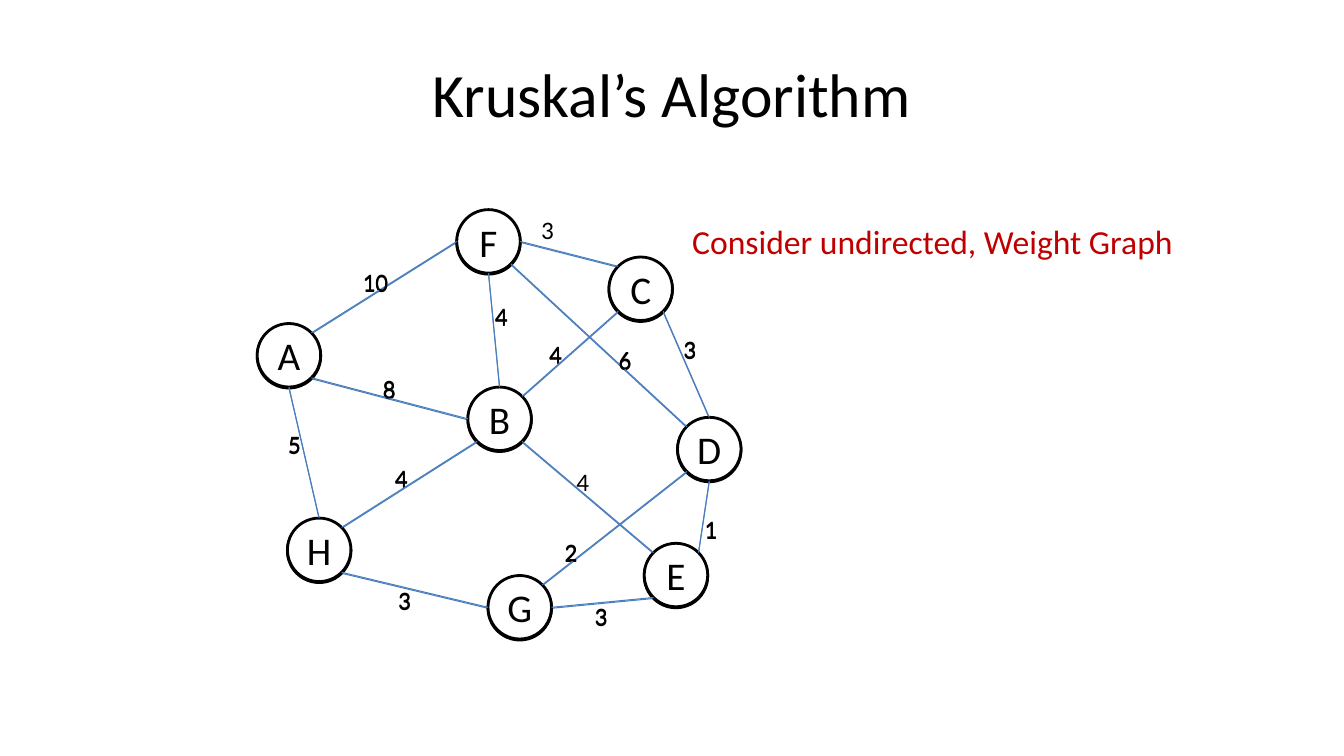
"""Build a slide that introduces Kruskal's algorithm with a weighted graph."""
from math import cos, radians, sin

from pptx import Presentation
from pptx import util as u
from pptx.dml.color import RGBColor
from pptx.enum import shapes, text
from pptx.oxml.ns import qn
from lxml import etree

COLORS = {"ink": "000000", "node": "FFFFFF", "edge": "4B7EBC", "note": "C00000"}
FONT = "Calibri"
COLUMN = u.Inches(13.333) / 40
ROW = u.Inches(7.5) / 30
DIAMETER = u.Inches(0.63)
LABEL_ROWS = 1.48
LAYER_STEP = 0.04

ANGLES = {"right": 0, "lower right": 45, "bottom": 90, "lower left": 135,
          "left": 180, "upper left": 225, "top": 270, "upper right": 315}

NODES = {
    "F": (14.54, 9.58), "A": (8.6, 14.1), "H": (9.5, 21.82), "G": (15.47, 24.1),
    "E": (20.12, 22.82), "D": (21.11, 17.82), "C": (19.07, 11.46), "B": (14.87, 16.62),
}

EDGES = [
    ("F", "left", "A", "upper right"),
    ("A", "bottom", "H", "top"),
    ("H", "lower right", "G", "left"),
    ("G", "right", "E", "lower left"),
    ("E", "upper right", "D", "bottom"),
    ("D", "top", "C", "lower right"),
    ("C", "upper left", "F", "right"),
    ("B", "upper right", "C", "lower left"),
    ("B", "top", "F", "bottom"),
    ("B", "left", "A", "lower right"),
    ("B", "lower left", "H", "upper right"),
    ("B", "lower right", "E", "upper left"),
    ("D", "upper left", "F", "lower right"),
    ("D", "lower left", "G", "upper right"),
]

WEIGHTS = [
    ("5", 8.28, 16.8, 0.84), ("10", 10.5, 10.36, 1.53), ("3", 20.04, 13.04, 0.93),
    ("3", 17.4, 23.64, 1.02), ("3", 11.55, 23, 1.05), ("4", 11.46, 18.16, 0.87),
    ("8", 11.1, 14.6, 0.9), ("4", 14.43, 11.72, 0.96), ("4", 16.05, 13.24, 0.84),
    ("6", 18.12, 13.48, 0.99), ("2", 16.59, 21.08, 0.51), ("1", 20.67, 20.16, 0.93),
]
WEIGHT_CF = ("3", 15.81, 8.32, 0.9)
WEIGHT_BE = ("4", 16.86, 18.32, 0.78)


def rgb(name):
    """Return the named colour."""
    return RGBColor.from_string(COLORS[name])


def place(shape, column, row, columns, rows):
    """Move a shape to a cell range of the grid."""
    shape.left, shape.top = round(column * COLUMN), round(row * ROW)
    shape.width, shape.height = round(columns * COLUMN), round(rows * ROW)


def write(paragraph, words, size, color="ink"):
    """Add one formatted run to a paragraph."""
    run = paragraph.add_run()
    run.text = words
    run.font.name = FONT
    run.font.size = u.Pt(size)
    run.font.color.rgb = rgb(color)


def add_title(slide, words):
    """Fill the title placeholder."""
    title = slide.shapes.title
    place(title, 2, 1.2, 36, 5)
    title.text_frame.vertical_anchor = text.MSO_ANCHOR.MIDDLE
    paragraph = title.text_frame.paragraphs[0]
    paragraph.alignment = text.PP_ALIGN.CENTER
    write(paragraph, words, 44)


def add_note(slide, words):
    """Fill the body placeholder with an indented, unbulleted remark."""
    body = slide.placeholders[1]
    place(body, 2, 7, 36, 19.8)
    body.text_frame.margin_top = round(1.76 * ROW)
    paragraph = body.text_frame.paragraphs[0]
    paragraph.space_before = u.Pt(0)
    properties = paragraph._p.get_or_add_pPr()
    properties.set("marL", str(round(18.3 * COLUMN)))
    properties.set("indent", "0")
    etree.SubElement(properties, qn("a:buNone"))
    write(paragraph, words, 24, "note")


def add_weight(container, words, column, row, columns):
    """Add the weight of an edge."""
    box = container.add_textbox(0, 0, 0, 0)
    place(box, column, row, columns, LABEL_ROWS)
    frame = box.text_frame
    frame.word_wrap = True
    frame.auto_size = text.MSO_AUTO_SIZE.SHAPE_TO_FIT_TEXT
    write(frame.paragraphs[0], words, 18)


def add_node(container, name, column, row):
    """Add a lettered circle around a grid point."""
    shape = container.add_shape(
        shapes.MSO_SHAPE.OVAL, round(column * COLUMN - DIAMETER / 2),
        round(row * ROW - DIAMETER / 2), DIAMETER, DIAMETER)
    shape.shadow.inherit = False
    shape.fill.solid()
    shape.fill.fore_color.rgb = rgb("node")
    shape.line.color.rgb = rgb("ink")
    shape.line.width = u.Pt(2)
    shape.text_frame.vertical_anchor = text.MSO_ANCHOR.MIDDLE
    paragraph = shape.text_frame.paragraphs[0]
    paragraph.alignment = text.PP_ALIGN.CENTER
    write(paragraph, name, 28)
    return shape


def rim_point(node, side):
    """Return the point on a circle's rim at the named side."""
    angle, radius = radians(ANGLES[side]), node.width / 2
    return (round(node.left + radius + radius * cos(angle)),
            round(node.top + radius + radius * sin(angle)))


def add_edge(container, start, end):
    """Add a straight line between two points."""
    edge = container.add_connector(shapes.MSO_CONNECTOR.STRAIGHT, *start, *end)
    edge.line.color.rgb = rgb("edge")
    edge.line.width = u.Pt(0.75)
    etree.SubElement(edge._element.spPr, qn("a:effectLst"))


def add_graph(slide, drop, weights):
    """Add a grouped graph, lowered by some rows."""
    container = slide.shapes.add_group_shape().shapes
    nodes = {name: add_node(container, name, column, row + drop)
             for name, (column, row) in NODES.items()}
    for start, start_side, end, end_side in EDGES:
        add_edge(container, rim_point(nodes[start], start_side),
                 rim_point(nodes[end], end_side))
    for words, column, row, columns in weights:
        add_weight(container, words, column, row + drop, columns)


def main():
    """Build and save the presentation."""
    presentation = Presentation()
    presentation.slide_width = round(40 * COLUMN)
    presentation.slide_height = round(30 * ROW)
    slide = presentation.slides.add_slide(presentation.slide_layouts[1])
    add_title(slide, "Kruskal’s Algorithm")
    add_note(slide, "Consider undirected, Weight Graph")
    add_weight(slide.shapes, *WEIGHT_CF)
    add_graph(slide, LAYER_STEP, WEIGHTS)
    add_graph(slide, 0, WEIGHTS + [WEIGHT_BE])
    presentation.save("out.pptx")


if __name__ == "__main__":
    main()
